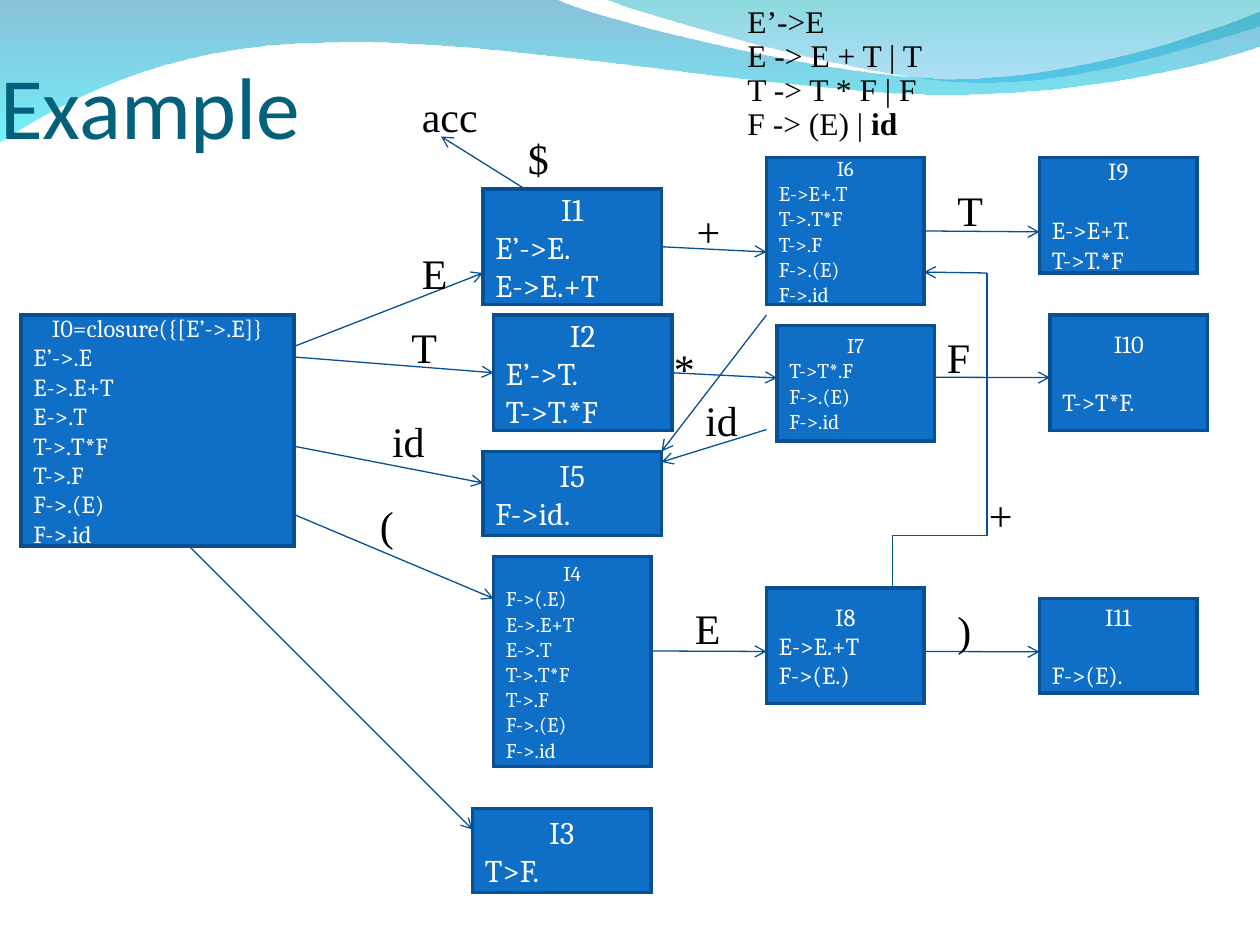
from lxml import etree
from pptx import Presentation
from pptx.dml.color import RGBColor
from pptx.enum import shapes, text
from pptx.oxml.ns import qn
from pptx.util import Pt

WHITE = RGBColor(0xFF, 0xFF, 0xFF)
BLACK = RGBColor(0x00, 0x00, 0x00)
TITLE_TEAL = RGBColor(0x04, 0x61, 0x7B)
STATE_BLUE = RGBColor(0x0F, 0x6F, 0xC6)
STATE_EDGE = RGBColor(0x08, 0x50, 0x91)
ARROW_BLUE = RGBColor(0x06, 0x50, 0x93)
WAVE_BLUE = RGBColor(0x00, 0x79, 0xAF)
WAVE_CYAN = RGBColor(0x00, 0xEB, 0xF8)
CREST_TEAL = RGBColor(0x00, 0xAD, 0xB6)
CREST_BLUE = RGBColor(0x00, 0x9B, 0xE5)
LEFT, CENTER = text.PP_ALIGN.LEFT, text.PP_ALIGN.CENTER
LEFT_SIDE, RIGHT_SIDE = 1, 3


def write(frame, lines, size, font="Times New Roman", color=BLACK,
          first=LEFT, spacing=None, gap=0):
    for number, line in enumerate(lines):
        para = frame.add_paragraph() if number else frame.paragraphs[0]
        para.alignment = LEFT if number else first
        if spacing:
            para.line_spacing = spacing
        if gap and number == 1:
            para.space_before = Pt(gap)
        for part, words in enumerate(line.split("_")):
            span = para.add_run()
            span.text = words
            span.font.size = Pt(size)
            span.font.name = font
            span.font.color.rgb = color
            if part == 1:
                span.font.bold = True


def style_connector(connector, arrow=True):
    connector.line.color.rgb = ARROW_BLUE
    connector.line.width = Pt(0.75)
    properties = connector.element.spPr
    if arrow:
        etree.SubElement(properties.find(qn("a:ln")), qn("a:tailEnd"), type="arrow")
    etree.SubElement(properties, qn("a:effectLst"))


deck = Presentation()
deck.slide_width, deck.slide_height = Pt(720), Pt(540)
page = deck.slides.add_slide(deck.slide_layouts[5])

waves = [
    ((0, -0.7), [
        [(317, -0.7)],
        [(343, 12), (478, 45), (546, 45)],
        [(614, 45), (690, 19), (720, 6.5)],
        [(720.7, 26)],
        [(708, 32), (626, 55), (537, 54)],
        [(448, 54), (275, 20), (185, 24.5)],
        [(93, 25), (33, 60), (-0.7, 81.4)],
    ], [(WAVE_BLUE, 46), (WAVE_CYAN, 56)]),
    ((345, -0.7), [
        [(366.5, 8), (491, 44.6), (553.7, 46.8)],
        [(616, 49.7), (692, 23), (720, 15)],
        [(720, 0)],
    ], [(CREST_TEAL, 46), (CREST_BLUE, 31)]),
]
for start, segments, colors in waves:
    outline = page.shapes.build_freeform(Pt(start[0]), Pt(start[1]))
    outline.add_line_segments([(Pt(x), Pt(y)) for segment in segments for x, y in segment],
                              close=True)
    wave = outline.convert_to_shape()
    corners = iter(list(wave.element.iter(qn("a:lnTo"))))
    for segment in segments:
        group = [next(corners) for point in segment]
        if len(group) == 3:
            group[0].tag = qn("a:cubicBezTo")
            for control in group[1:]:
                group[0].append(control[0])
                control.getparent().remove(control)
    wave.shadow.inherit = False
    wave.line.fill.background()
    wave.fill.gradient()
    wave.fill.gradient_angle = 270
    for stop, (color, opacity) in zip(wave.fill.gradient_stops, colors):
        stop.color.rgb = color
    for node, (color, opacity) in zip(wave.element.iter(qn("a:srgbClr")), colors):
        etree.SubElement(node, qn("a:alpha"), val=str(opacity * 1000))

title = page.shapes.title
title.element.getparent().append(title.element)
title.left, title.top, title.width, title.height = Pt(0), Pt(0), Pt(648), Pt(90)
title.text_frame.vertical_anchor = text.MSO_ANCHOR.BOTTOM
title.text_frame.margin_left = title.text_frame.margin_right = Pt(0)
title.text_frame.margin_bottom = Pt(0)
write(title.text_frame, ["Example"], 50, font="Calibri", color=TITLE_TEAL)

grammar = page.shapes.add_textbox(Pt(420), Pt(0), Pt(300), Pt(85))
grammar.text_frame.word_wrap = True
write(grammar.text_frame, ["E’->E", "E -> E + T | T", "T -> T * F | F", "F -> (E) | _id"],
      18, spacing=0.9)

states = [
    ("I0", 12, 180, 156, 132, 14, 0, ["I0=closure({[E’->.E]}", "E’->.E", "E->.E+T", "E->.T",
                                      "T->.T*F", "T->.F", "F->.(E)", "F->.id"]),
    ("I1", 276, 108, 102, 66, 18, 0, ["I1", "E’->E.", "E->E.+T"]),
    ("I2", 282, 180, 102, 66, 18, 0, ["I2", "E’->T.", "T->T.*F"]),
    ("I3", 270, 462, 102, 48, 18, 0, ["I3", "T>F."]),
    ("I4", 282, 318, 90, 120, 12, 0, ["I4", "F->(.E)", "E->.E+T", "E->.T", "T->.T*F",
                                      "T->.F", "F->.(E)", "F->.id"]),
    ("I5", 276, 258, 102, 48, 18, 0, ["I5", "F->id."]),
    ("I6", 438, 90, 90, 84, 12, 0, ["I6", "E->E+.T", "T->.T*F", "T->.F", "F->.(E)", "F->.id"]),
    ("I7", 444, 186, 90, 66, 12, 0, ["I7", "T->T*.F", "F->.(E)", "F->.id"]),
    ("I8", 438, 336, 90, 66, 14, 0, ["I8", "E->E.+T", "F->(E.)"]),
    ("I9", 594, 90, 90, 66, 14, 16.8, ["I9", "E->E+T.", "T->T.*F"]),
    ("I10", 600, 180, 90, 66, 14, 16.8, ["I10", "T->T*F."]),
    ("I11", 594, 342, 90, 54, 14, 16.8, ["I11", "F->(E)."]),
]
boxes = {}
for name, left, top, width, height, size, gap, items in states:
    box = page.shapes.add_shape(shapes.MSO_SHAPE.RECTANGLE,
                                Pt(left), Pt(top), Pt(width), Pt(height))
    box.shadow.inherit = False
    box.fill.solid()
    box.fill.fore_color.rgb = STATE_BLUE
    box.line.color.rgb = STATE_EDGE
    box.line.width = Pt(2)
    etree.SubElement(box.element.spPr.find(qn("a:ln")), qn("a:miter"), lim="800000")
    box.text_frame.word_wrap = True
    box.text_frame.vertical_anchor = text.MSO_ANCHOR.MIDDLE
    write(box.text_frame, items, size, font="Cambria", color=WHITE, first=CENTER, gap=gap)
    boxes[name] = box

transitions = [
    (168, 198, 276, 156, None, None),
    (168, 204, 282, 213, None, ("I2", LEFT_SIDE)),
    (168, 294, 282, 342, None, None),
    (168, 255, 276, 276, None, None),
    (108, 312, 270, 474, None, None),
    (378, 141, 438, 144, ("I1", RIGHT_SIDE), None),
    (384, 213, 444, 216, ("I2", RIGHT_SIDE), None),
    (372, 372, 438, 372.3, None, None),
    (528, 372.3, 594, 372.5, None, None),
    (528, 132, 594, 132.5, ("I6", RIGHT_SIDE), None),
    (534, 215.6, 600, 215.8, None, None),
    (438, 245.5, 378, 264, None, None),
    (438, 180, 378, 258, None, None),
    (564, 156, 528, 155.5, None, None),
    (300, 108, 252, 78, None, None),
]
for x1, y1, x2, y2, source, target in transitions:
    arrow = page.shapes.add_connector(shapes.MSO_CONNECTOR.STRAIGHT,
                                      Pt(x1), Pt(y1), Pt(x2), Pt(y2))
    if source:
        arrow.begin_connect(boxes[source[0]], source[1])
    if target:
        arrow.end_connect(boxes[target[0]], target[1])
    style_connector(arrow)

riser = page.shapes.add_connector(shapes.MSO_CONNECTOR.STRAIGHT,
                                  Pt(564), Pt(276), Pt(564), Pt(156))
style_connector(riser, arrow=False)
elbow = page.shapes.add_connector(shapes.MSO_CONNECTOR.ELBOW,
                                  Pt(567), Pt(333), Pt(507), Pt(279))
elbow.element.spPr.find(qn("a:xfrm")).set("rot", "5400000")
style_connector(elbow, arrow=False)

labels = [
    ("E", 234, 138, 29), ("T", 228, 180, 29), ("(", 210, 282, 22), ("id", 217, 234, 33),
    ("+", 391, 114, 28), ("*", 378, 192, 26), ("E", 390, 341, 29), (")", 540, 342, 22),
    ("T", 540, 102, 29), ("F", 534, 186, 27), ("id", 396, 222, 33), ("+", 558, 276, 28),
    ("$", 294.5, 72, 26), ("acc", 234, 48, 47),
]
for symbol, left, top, width in labels:
    label = page.shapes.add_textbox(Pt(left), Pt(top), Pt(width), Pt(36))
    label.text_frame.word_wrap = False
    label.text_frame.auto_size = text.MSO_AUTO_SIZE.SHAPE_TO_FIT_TEXT
    write(label.text_frame, [symbol], 24)

deck.save("out.pptx")
